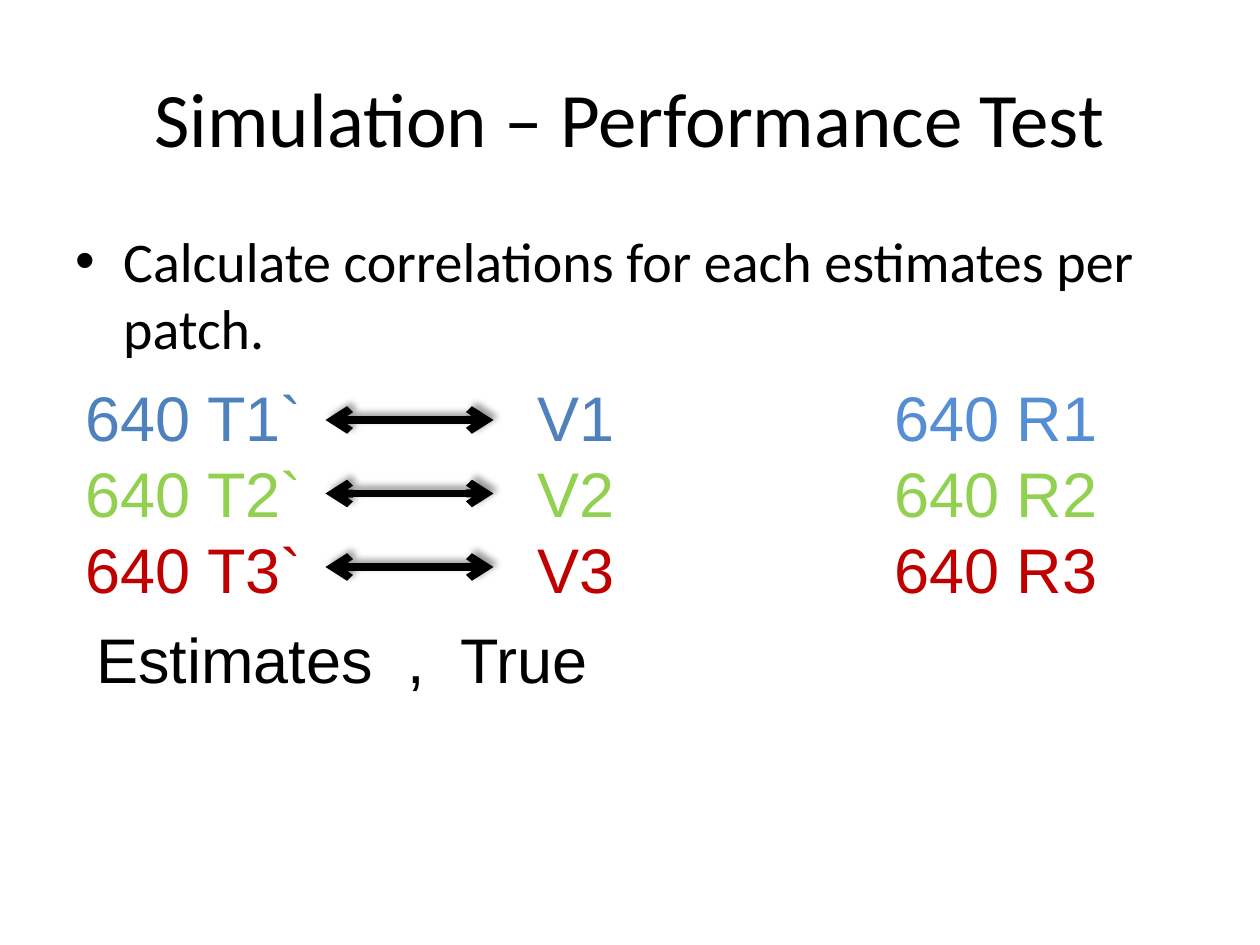
from typing import NamedTuple

from lxml.etree import SubElement
from pptx import Presentation
from pptx.dml.color import RGBColor
from pptx.enum.shapes import MSO_CONNECTOR as Connector
from pptx.enum.text import MSO_ANCHOR as Anchor, MSO_AUTO_SIZE as AutoSize, PP_ALIGN as Align
from pptx.oxml.ns import qn
from pptx.util import Inches, Pt

UNIT = Inches(1) / 12
COLUMNS, ROWS = 120, 90

BLACK = RGBColor(0x00, 0x00, 0x00)
BLUE = RGBColor(0x4F, 0x81, 0xBD)
LIGHT_BLUE = RGBColor(0x55, 0x8E, 0xD5)
GREEN = RGBColor(0x92, 0xD0, 0x50)
RED = RGBColor(0xC0, 0x00, 0x00)


class Box(NamedTuple):
    """Area on the grid, in columns and rows."""

    column: float
    row: float
    width: float
    height: float


class Series(NamedTuple):
    """One column of numbered quantities."""

    pattern: str
    column: float
    width: float
    first_color: RGBColor


SERIES = (
    Series("640 T{}`", 7, 28.2, BLUE),
    Series("V{}", 50, 17.3, BLUE),
    Series("640 R{}", 84, 24, LIGHT_BLUE),
)
SERIES_ROW, SERIES_HEIGHT = 35.5, 23
ARROW_START, ARROW_END = 31, 47
ARROW_ROW, ARROW_STEP, ARROW_COUNT = 40, 7, 3


def grid(count: float) -> int:
    """Turn a number of grid units into a length."""
    return round(count * UNIT)


def add_text(slide, box: Box, lines: list[str], *, colors=(BLACK,), size=36, font="Arial",
             align=Align.LEFT, anchor=Anchor.TOP, grow=True, bullet="", indent=0.0, tabs=()) -> None:
    """Write lines in a box, cycling through the colours."""
    frame = slide.shapes.add_textbox(*map(grid, box)).text_frame
    frame.word_wrap = True
    frame.vertical_anchor = anchor
    frame.auto_size = AutoSize.SHAPE_TO_FIT_TEXT if grow else AutoSize.NONE
    for index, line in enumerate(lines):
        paragraph = frame.add_paragraph() if index else frame.paragraphs[0]
        paragraph.alignment = align
        properties = paragraph._p.get_or_add_pPr()
        if bullet:
            properties.set("marL", str(Inches(indent)))
            properties.set("indent", str(-Inches(indent)))
            SubElement(properties, qn("a:buFont"), typeface="Arial")
            SubElement(properties, qn("a:buChar"), char=bullet)
        if tabs:
            tab_list = SubElement(properties, qn("a:tabLst"))
            for stop in tabs:
                SubElement(tab_list, qn("a:tab"), pos=str(Inches(stop)), algn="l")
        run = paragraph.add_run()
        run.text = line
        run.font.name = font
        run.font.size = Pt(size)
        run.font.color.rgb = colors[index % len(colors)]


def add_double_arrow(group, row: float) -> None:
    """Draw a shadowed two-headed arrow along a grid row."""
    arrow = group.shapes.add_connector(
        Connector.STRAIGHT, grid(ARROW_START), grid(row), grid(ARROW_END), grid(row))
    arrow.line.color.rgb = BLACK
    arrow.line.width = Pt(4.5)
    outline = arrow.line._get_or_add_ln()
    for end in ("a:headEnd", "a:tailEnd"):
        SubElement(outline, qn(end), type="arrow")
    effects = SubElement(arrow._element.spPr, qn("a:effectLst"))
    shadow = SubElement(effects, qn("a:outerShdw"), blurRad=str(Pt(4)), dist=str(Pt(3)),
                        dir=str(315 * 60000), algn="bl", rotWithShape="0")
    shade = SubElement(shadow, qn("a:srgbClr"), val=str(BLACK))
    SubElement(shade, qn("a:alpha"), val="40000")


def main() -> None:
    """Build the performance test slide."""
    deck = Presentation()
    deck.slide_width, deck.slide_height = grid(COLUMNS), grid(ROWS)
    slide = deck.slides.add_slide(deck.slide_layouts[6])

    add_text(slide, Box(6, 3.6, 108, 15), ["Simulation – Performance Test"], size=44,
             font="Calibri", align=Align.CENTER, anchor=Anchor.MIDDLE, grow=False)
    add_text(slide, Box(6, 21, 108, 59.4), ["Calculate correlations for each estimates per patch."],
             size=32, font="Calibri", grow=False, bullet="•", indent=0.38)

    for series in SERIES:
        add_text(slide, Box(series.column, SERIES_ROW, series.width, SERIES_HEIGHT),
                 [series.pattern.format(number) for number in (1, 2, 3)],
                 colors=(series.first_color, GREEN, RED))

    arrows = slide.shapes.add_group_shape()
    for index in range(ARROW_COUNT):
        add_double_arrow(arrows, ARROW_ROW + index * ARROW_STEP)

    add_text(slide, Box(8, 58.5, 69, 8.5), ["Estimates\t,\tTrue"], tabs=(2.47, 2.89))
    deck.save("out.pptx")


if __name__ == "__main__":
    main()
